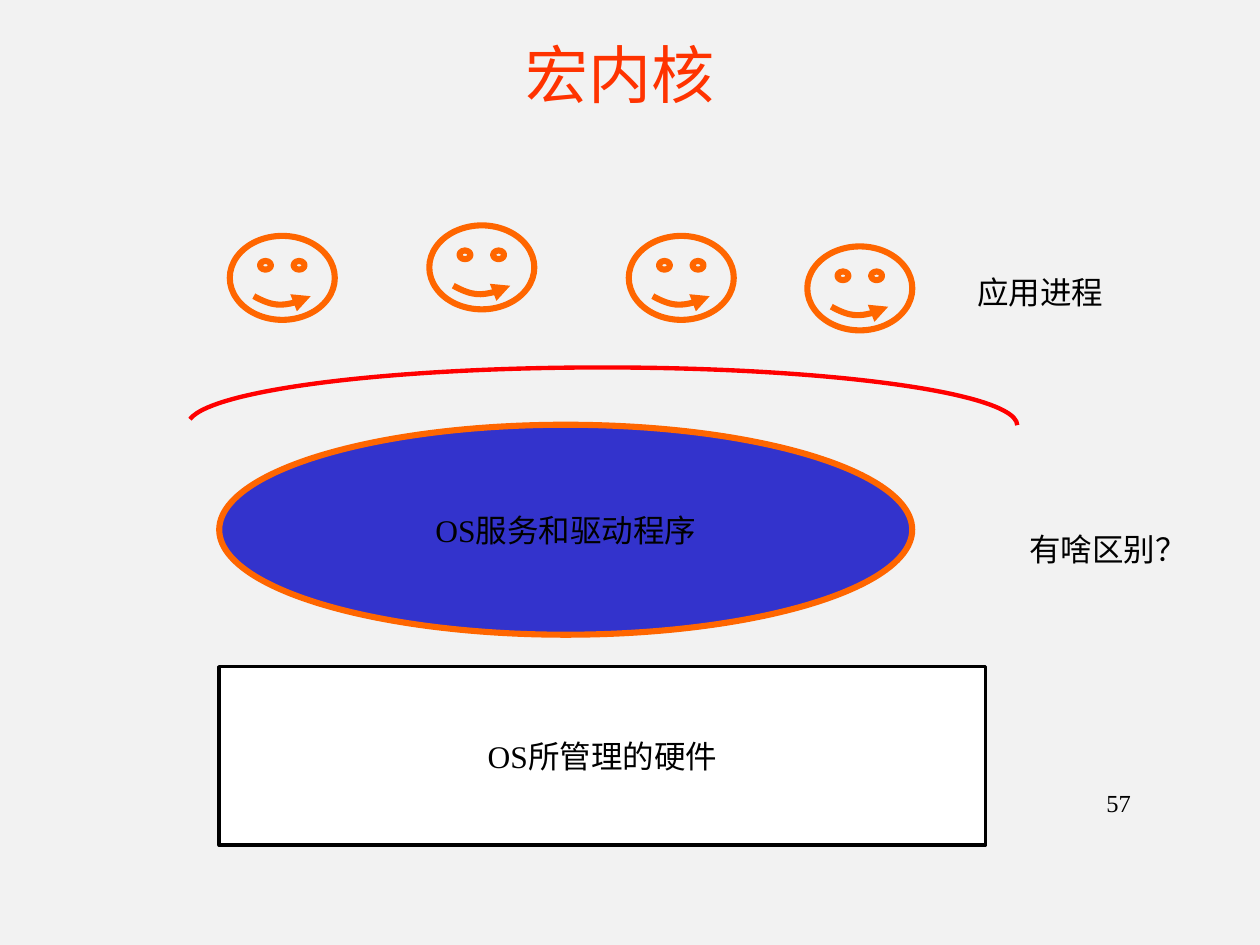
from dataclasses import dataclass
from typing import NamedTuple, Optional

from lxml.etree import SubElement
from pptx import Presentation
from pptx.dml.color import RGBColor
from pptx.enum.shapes import MSO_SHAPE
from pptx.enum.text import MSO_ANCHOR, PP_ALIGN
from pptx.oxml.ns import qn
from pptx.util import Pt


@dataclass(frozen=True)
class Theme:
    font: str = "Times New Roman"
    back: str = "F2F2F2"
    title: str = "FF3300"
    ink: str = "000000"
    paper: str = "FFFFFF"
    blue: str = "3333CC"
    orange: str = "FF6600"
    red: str = "FF0000"
    head: int = 36
    body: int = 18
    small: int = 14


class Box(NamedTuple):
    left: float
    top: float
    width: float
    height: float


class Label(NamedTuple):
    text: str
    box: Box
    size: int
    color: str
    align: PP_ALIGN = PP_ALIGN.LEFT
    anchor: MSO_ANCHOR = MSO_ANCHOR.TOP
    wrap: bool = True


class Figure(NamedTuple):
    kind: MSO_SHAPE
    box: Box
    line: str
    weight: float
    fill: Optional[str] = None
    text: str = ""


THEME = Theme()

LABELS = [
    Label("宏内核", Box(15, 5, 679, 73.5), THEME.head, THEME.title,
          PP_ALIGN.CENTER, MSO_ANCHOR.MIDDLE),
    Label("57", Box(503.3, 447, 150, 36), THEME.small, THEME.ink,
          PP_ALIGN.RIGHT),
    Label("应用进程", Box(551.5, 152.6, 86.4, 28.8), THEME.body, THEME.ink,
          wrap=False),
    Label("有啥区别？", Box(581, 299.5, 104.4, 28.8), THEME.body, THEME.ink,
          wrap=False),
]

LAYERS = [
    Figure(MSO_SHAPE.RECTANGLE, Box(125.3, 381, 437.8, 102), THEME.ink, 2,
           THEME.paper, "OS所管理的硬件"),
    Figure(MSO_SHAPE.OVAL, Box(125.3, 242.7, 396, 120), THEME.orange, 3.5,
           THEME.blue, "OS服务和驱动程序"),
]
FACES = [
    Figure(MSO_SHAPE.SMILEY_FACE, Box(left, top, 60, 48), THEME.orange, 3.5)
    for left, top in [(131.3, 134.8), (245.3, 128.8),
                      (359.3, 134.8), (461.3, 140.8)]
]
ROOF = Figure(MSO_SHAPE.ARC, Box(107.3, 210, 474, 66), THEME.red, 2.5)


def rgb(color: str) -> RGBColor:
    return RGBColor.from_string(color)


def place(box: Box) -> list:
    return [Pt(side) for side in box]


def write(frame, label: Label) -> None:
    frame.word_wrap = label.wrap
    frame.vertical_anchor = label.anchor
    para = frame.paragraphs[0]
    para.text = label.text
    para.alignment = label.align
    para.font.name = THEME.font
    para.font.size = Pt(label.size)
    para.font.color.rgb = rgb(label.color)


def draw(slide, item: Figure):
    shape = slide.shapes.add_shape(item.kind, *place(item.box))
    shape.shadow.inherit = False
    if item.fill:
        shape.fill.solid()
        shape.fill.fore_color.rgb = rgb(item.fill)
    else:
        shape.fill.background()
    shape.line.color.rgb = rgb(item.line)
    shape.line.width = Pt(item.weight)
    if item.text:
        write(shape.text_frame, Label(
            item.text, item.box, THEME.body, THEME.ink,
            PP_ALIGN.CENTER, MSO_ANCHOR.MIDDLE))
    return shape


def smile(slide, item: Figure) -> None:
    """Draw a face whose mouth ends in an arrowhead."""
    line = draw(slide, item).line
    edge = line._get_or_add_ln()
    SubElement(edge, qn("a:tailEnd"), type="triangle")


def main() -> None:
    deck = Presentation()
    deck.slide_width, deck.slide_height = Pt(720), Pt(540)
    slide = deck.slides.add_slide(deck.slide_layouts[6])
    fill = slide.background.fill
    fill.solid()
    fill.fore_color.rgb = rgb(THEME.back)

    for layer in LAYERS:
        draw(slide, layer)
    for face in FACES:
        smile(slide, face)
    roof = draw(slide, ROOF)
    roof.adjustments[0] = 108.5
    roof.adjustments[1] = 0
    for label in LABELS:
        frame = slide.shapes.add_textbox(*place(label.box)).text_frame
        write(frame, label)
    deck.save("out.pptx")


if __name__ == "__main__":
    main()
